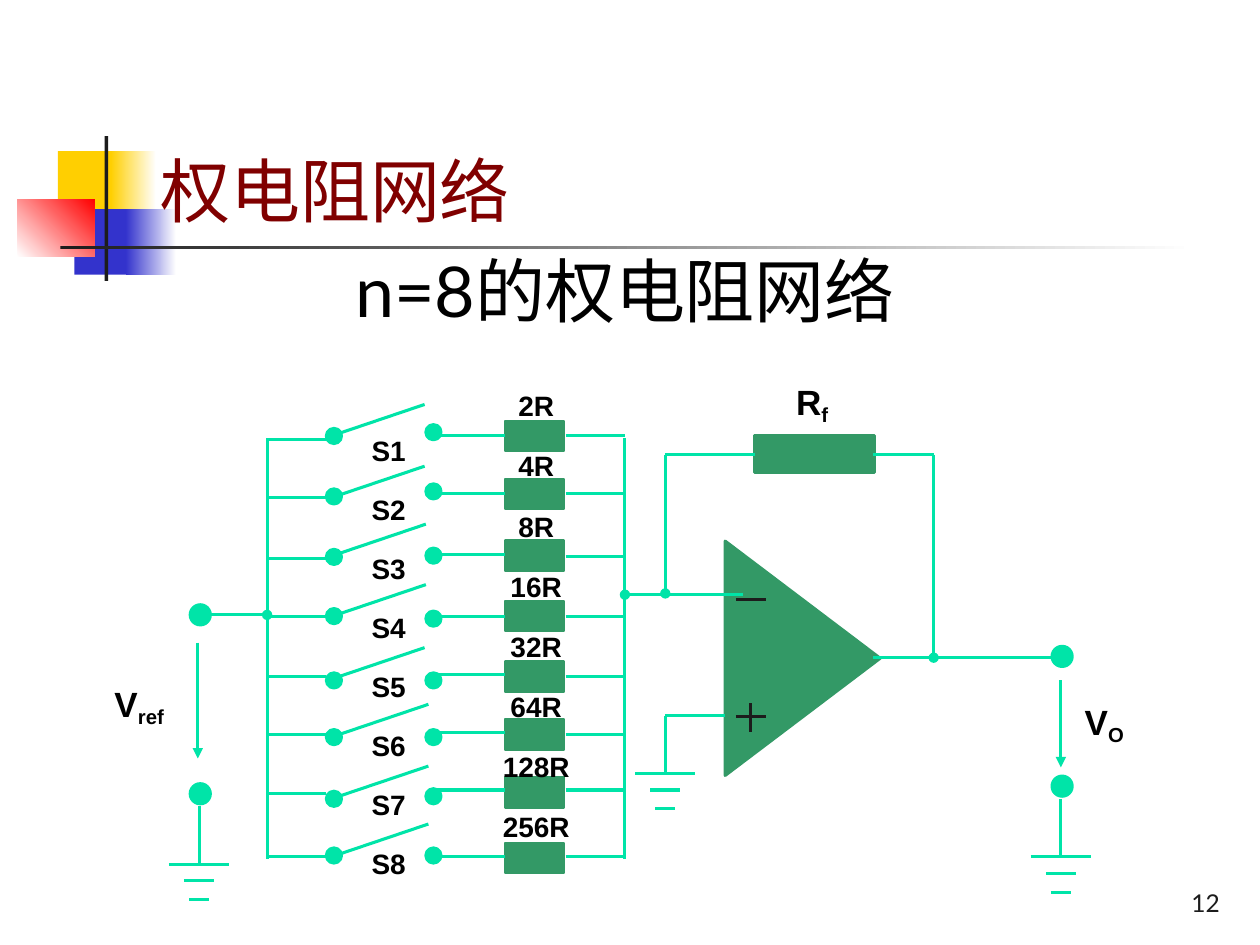
from lxml import etree
from pptx import Presentation
from pptx.dml.color import RGBColor
from pptx.enum import shapes, text
from pptx.oxml.ns import qn
from pptx.util import Inches, Pt

WIRE = RGBColor(0x00, 0xE4, 0xA8)
PART = RGBColor(0x33, 0x99, 0x66)
DARK = RGBColor(0x1C, 0x1C, 0x1C)
BLACK = RGBColor(0, 0, 0)
WHITE = RGBColor(0xFF, 0xFF, 0xFF)
YELLOW = RGBColor(0xFF, 0xCF, 0x01)
BLUE = RGBColor(0x33, 0x33, 0xCC)
RED = RGBColor(0xFF, 0, 0)
MAROON = RGBColor(0x80, 0, 0)

KINDS = shapes.MSO_SHAPE
LEFT, CENTER, RIGHT = text.PP_ALIGN.LEFT, text.PP_ALIGN.CENTER, text.PP_ALIGN.RIGHT
TOP, BOTTOM = text.MSO_ANCHOR.TOP, text.MSO_ANCHOR.BOTTOM
CJK = "Noto Sans CJK SC"

# left, top, width, height, colours (two make a gradient), gradient angle
DECORATION = [
    (0.46, 1.2, 0.48, 0.52, [YELLOW], 0),
    (0.88, 1.2, 0.36, 0.52, [YELLOW, WHITE], 0),
    (0.59, 1.66, 0.46, 0.52, [BLUE], 0),
    (1.0, 1.66, 0.4, 0.52, [BLUE, WHITE], 0),
    (0.14, 1.58, 0.61, 0.46, [WHITE, RED], 45),
    (0.83, 1.08, 0.03, 1.15, [DARK], 0),
    (0.48, 1.95, 9, 0.03, [DARK, WHITE], 0),
]

# switch, resistor, resistor top, bus wire y, pivot top, blade x, blade y,
# contact top, wire y before and after the resistor
BRANCHES = [
    ("S1", "2R", 3.34, 3.49, 3.40, 2.66, 3.45, 3.37, 3.46, 3.46),
    ("S2", "4R", 3.80, 3.95, 3.88, 2.66, 3.94, 3.84, 3.92, 3.92),
    ("S3", "8R", 4.29, 4.43, 4.36, 2.67, 4.40, 4.35, 4.40, 4.42),
    ("S4", "16R", 4.77, 4.89, 4.83, 2.67, 4.88, 4.85, 4.89, 4.89),
    ("S5", "32R", 5.25, 5.37, 5.34, 2.66, 5.38, 5.34, 5.35, 5.37),
    ("S6", "64R", 5.71, 5.83, 5.79, 2.69, 5.83, 5.79, 5.81, 5.83),
    ("S7", "128R", 6.17, 6.30, 6.28, 2.69, 6.32, 6.26, 6.27, 6.27),
    ("S8", "256R", 6.69, 6.80, 6.73, 2.69, 6.78, 6.73, 6.80, 6.80),
]
BUS_X, SUM_X, FEEDBACK_X, OUT_X = 2.12, 4.96, 5.28, 7.41

# x1, y1, x2, y2, head end, tail end
WIRES = [
    (BUS_X, 3.48, BUS_X, 6.82, None, None),
    (SUM_X, 3.48, SUM_X, 6.82, None, None),
    (1.65, 4.88, BUS_X, 4.88, None, "oval"),
    (SUM_X, 4.72, 5.9, 4.72, "oval", None),
    (5.75, 5.68, FEEDBACK_X, 5.68, None, None),
    (5.99, 3.61, FEEDBACK_X, 3.61, None, None),
    (FEEDBACK_X, 3.61, FEEDBACK_X, 4.71, None, "oval"),
    (6.93, 3.61, OUT_X, 3.61, None, None),
    (OUT_X, 3.61, OUT_X, 5.22, None, "oval"),
    (6.93, 5.22, 8.35, 5.22, None, None),
    (1.57, 5.1, 1.57, 6.02, None, "triangle"),
    (8.42, 5.4, 8.42, 6.09, None, "triangle"),
]
SIGNS = [(5.84, 5.69, 6.08, 5.69), (5.96, 5.58, 5.96, 5.81), (5.84, 4.76, 6.08, 4.76)]
GROUNDS = [(FEEDBACK_X, 6.14), (1.58, 6.86), (8.42, 6.8)]
GROUND_BARS = [(0, 0.48), (0.13, 0.24), (0.28, 0.16)]  # drop, width
TERMINALS = [(1.51, 4.8), (1.51, 6.22), (8.35, 5.13), (8.35, 6.16)]
# symbol, subscript, left, top, width, height
QUANTITIES = [
    ("V", "ref", 0.75, 5.37, 0.71, 0.41),
    ("R", "f", 6.09, 2.97, 0.71, 0.39),
    ("V", "O", 8.53, 5.51, 0.47, 0.31),
]

prs = Presentation()
prs.slide_width, prs.slide_height = Inches(10), Inches(7.5)
s = prs.slides.add_slide(prs.slide_layouts[6])


def add_part(kind, x, y, w, h, colors, angle=0, line=None):
    sp = s.shapes.add_shape(kind, Inches(x), Inches(y), Inches(w), Inches(h))
    sp.shadow.inherit = False
    if len(colors) == 1:
        sp.fill.solid()
        sp.fill.fore_color.rgb = colors[0]
    else:
        sp.fill.gradient()
        sp.fill.gradient_angle = angle
        for stop, color, position in zip(sp.fill.gradient_stops, colors, (0, 1)):
            stop.color.rgb, stop.position = color, position
    if line:
        sp.line.color.rgb, sp.line.width = colors[0], Pt(line)
    else:
        sp.line.fill.background()
    return sp


def add_wire(x1, y1, x2, y2, head=None, tail=None, color=WIRE):
    c = s.shapes.add_connector(shapes.MSO_CONNECTOR.STRAIGHT,
                               Inches(x1), Inches(y1), Inches(x2), Inches(y2))
    c.line.color.rgb, c.line.width = color, Pt(1.75)
    ln = c.line._get_or_add_ln()
    for tag, end in (("a:headEnd", head), ("a:tailEnd", tail)):
        if end:
            etree.SubElement(ln, qn(tag), type=end)
    etree.SubElement(c._element.spPr, qn("a:effectLst"))


def add_text(x, y, w, h, lines, size, font, color=BLACK, bold=False,
             align=CENTER, anchor=TOP, inset=0.1, spacing=None, after=0):
    """Each line is a list of runs; a second run is a subscript."""
    tf = s.shapes.add_textbox(Inches(x), Inches(y), Inches(w), Inches(h)).text_frame
    tf.word_wrap, tf.vertical_anchor = True, anchor
    tf.margin_left = tf.margin_right = Inches(inset)
    for i, runs in enumerate(lines):
        p = tf.paragraphs[0] if i == 0 else tf.add_paragraph()
        p.alignment, p.space_after = align, Pt(after)
        if spacing:
            p.line_spacing = spacing
        for j, run in enumerate(runs):
            r = p.add_run()
            r.text = run
            r.font.size, r.font.bold, r.font.name = Pt(size), bold, font
            r.font.color.rgb = color
            rPr = r.font._element
            etree.SubElement(rPr, qn("a:ea"), typeface=CJK)
            if j:
                rPr.set("baseline", "-20000")


for x, y, w, h, colors, angle in DECORATION:
    add_part(KINDS.RECTANGLE, x, y, w, h, colors, angle)
add_text(7.7, 6.83, 2.08, 0.5, [["12"]], 14, "Lato", DARK, align=RIGHT, anchor=BOTTOM)
add_text(2.26, 1.85, 5.4, 0.83, [["n=8的权电阻网络"]], 40, "Lato", anchor=BOTTOM)
add_text(1.03, 1.27, 3.26, 0.62, [["权电阻网络"]], 40, CJK, MAROON, anchor=BOTTOM)

amplifier = add_part(KINDS.ISOSCELES_TRIANGLE, 5.44, 4.61, 1.86, 1.23, [PART], line=1.75)
amplifier.rotation = 90
add_part(KINDS.RECTANGLE, 5.99, 3.46, 0.95, 0.29, [PART], line=1.75)

for wire in WIRES:
    add_wire(*wire)
for sign in SIGNS:
    add_wire(*sign, color=DARK)
for x, y in GROUNDS:
    add_wire(x, y - 0.46, x, y)
    for drop, width in GROUND_BARS:
        add_wire(x - width / 2, y + drop, x + width / 2, y + drop)
for x, y in TERMINALS:
    add_part(KINDS.OVAL, x, y, 0.16, 0.16, [WIRE], line=1.75)

for _, _, top, bus_y, pivot, blade_x, blade_y, contact, in_y, out_y in BRANCHES:
    add_part(KINDS.RECTANGLE, 4.01, top, 0.47, 0.24, [PART], line=1.25)
    add_wire(BUS_X, bus_y, 2.59, bus_y)
    add_wire(blade_x, blade_y, blade_x + 0.71, blade_y - 0.24)
    add_wire(3.41, in_y, 4.01, in_y)
    add_wire(4.49, out_y, SUM_X, out_y)
    for x, y in ((2.59, pivot), (3.38, contact)):
        add_part(KINDS.OVAL, x, y, 0.12, 0.12, [WIRE], line=1.75)

add_text(2.89, 3.43, 0.39, 3.62, [[b[0]] for b in BRANCHES], 16, "Arial",
         bold=True, inset=0, spacing=0.86, after=17.2)
add_text(3.78, 3.07, 0.95, 3.98, [[b[1]] for b in BRANCHES], 16, "Arial",
         bold=True, inset=0, spacing=0.88, after=17.5)
for symbol, subscript, x, y, w, h in QUANTITIES:
    add_text(x, y, w, h, [[symbol, subscript]], 20, "Arial", bold=True, inset=0)

prs.save("out.pptx")
